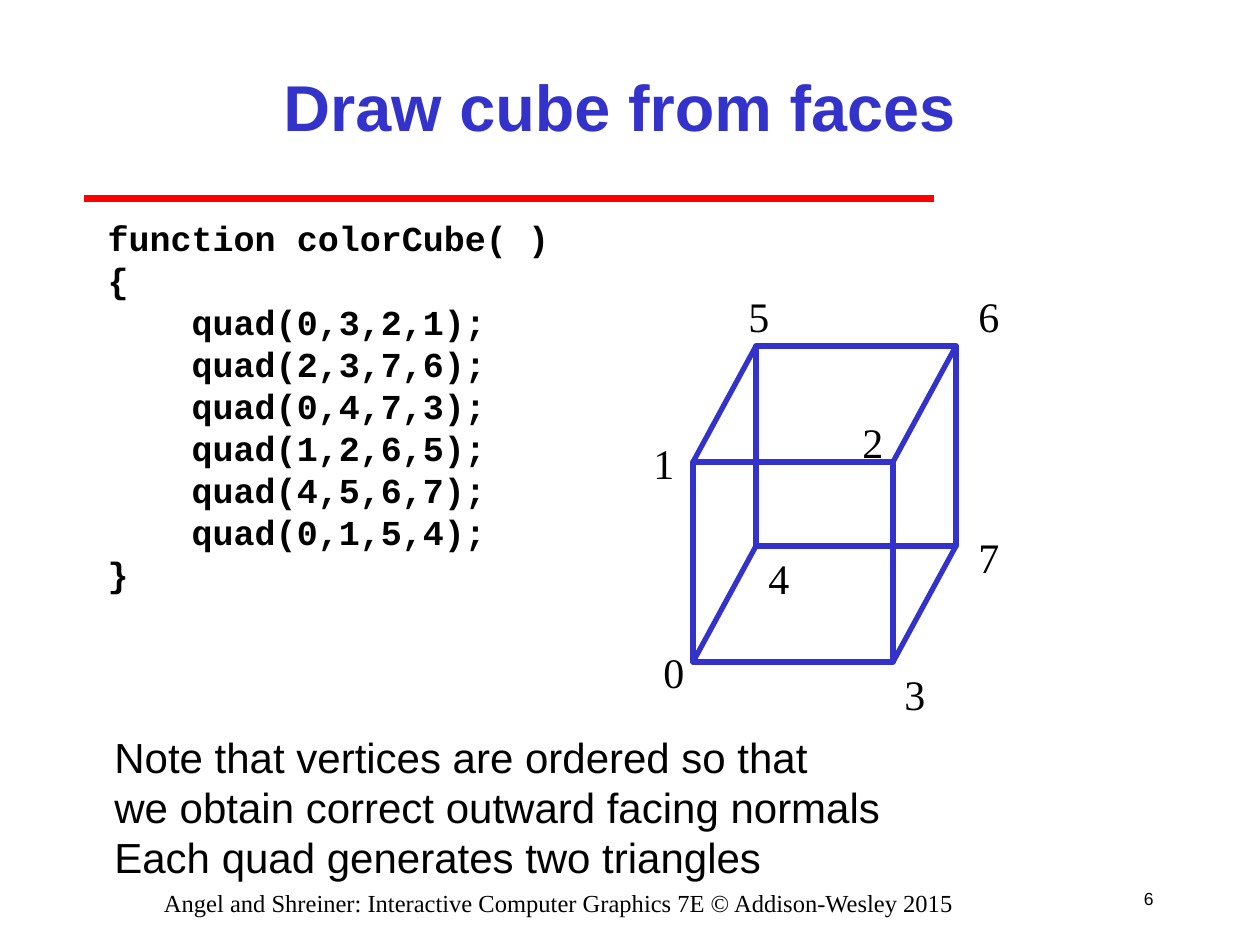
from lxml.etree import SubElement
from pptx import Presentation
from pptx.dml.color import RGBColor
from pptx.enum.shapes import MSO_CONNECTOR as Connector, MSO_SHAPE as Shape
from pptx.enum.text import MSO_ANCHOR as Anchor, MSO_AUTO_SIZE as AutoSize, PP_ALIGN as Align
from pptx.oxml.ns import qn
from pptx.util import Emu, Pt

BLUE = RGBColor(0x33, 0x33, 0xCC)
RED = RGBColor(0xFF, 0x00, 0x00)
BLACK = RGBColor(0x00, 0x00, 0x00)

PX_PER_INCH = 126
LINE_HEIGHT = 1.2

CODE = [
    "function colorCube( )",
    "{",
    "    quad(0,3,2,1);",
    "    quad(2,3,7,6);",
    "    quad(0,4,7,3);",
    "    quad(1,2,6,5);",
    "    quad(4,5,6,7);",
    "    quad(0,1,5,4);",
    "}",
]
NOTES = [
    "Note that vertices are ordered so that",
    "we obtain correct outward facing normals",
    "Each quad generates two triangles",
]
# Label corners, measured from the top left of the cube
VERTEX_LABELS = {
    "0": (-42, 294), "5": (43, -62), "6": (273, -62), "2": (157, 64),
    "4": (63, 200), "7": (273, 179), "1": (-52, 85), "3": (199, 316),
}


def px(value):
    return Emu(round(value * 914400 / PX_PER_INCH))


def place(shape, box):
    shape.left, shape.top, shape.width, shape.height = map(px, box)


def write(shape, lines, font_name, size, color=BLACK, bold=False,
          align=Align.LEFT, anchor=Anchor.TOP, wrap=True):
    frame = shape.text_frame
    frame.auto_size = AutoSize.NONE
    frame.word_wrap = wrap
    frame.vertical_anchor = anchor
    for index, line in enumerate(lines):
        paragraph = frame.paragraphs[0] if index == 0 else frame.add_paragraph()
        paragraph.text = line
        properties = paragraph._p.get_or_add_pPr()
        properties.set("marL", "0")
        properties.set("indent", "0")
        SubElement(properties, qn("a:buNone"))
        paragraph.alignment = align
        paragraph.space_before = Pt(0)
        paragraph.line_spacing = Pt(size * LINE_HEIGHT)
        font = paragraph.font
        font.name, font.size, font.bold = font_name, Pt(size), bold
        font.color.rgb = color


def add_text(slide, box, lines, font_name, size, **style):
    shape = slide.shapes.add_textbox(*map(px, box))
    write(shape, lines, font_name, size, **style)


def add_line(shapes, start, end, color, width):
    line = shapes.add_connector(Connector.STRAIGHT, *map(px, start + end))
    line.line.color.rgb = color
    line.line.width = Pt(width)
    SubElement(line._element.spPr, qn("a:effectLst"))


def add_heading(slide, box):
    left, top, width, height = box
    title = slide.shapes.title
    place(title, (left + 105, top, 861, 147))
    write(title, ["Draw cube from faces"], "Arial", 37, color=BLUE, bold=True,
          align=Align.CENTER, anchor=Anchor.MIDDLE)
    rule = top + height
    add_line(slide.shapes, (left, rule), (left + 850, rule), RED, 4)


def add_code(slide, box):
    body = slide.placeholders[1]
    place(body, box)
    write(body, CODE, "Courier New", 20, bold=True)


def add_cube(slide, box):
    left, top, width, height = box
    side, shift_x = 200, width - 200
    shift_y = height - side
    group = slide.shapes.add_group_shape()

    # Front and back faces
    for x, y in ((left, top + shift_y), (left + shift_x, top)):
        face = group.shapes.add_shape(Shape.RECTANGLE, *map(px, (x, y, side, side)))
        face.shadow.inherit = False
        face.fill.background()
        face.line.color.rgb = BLUE
        face.line.width = Pt(3)

    # Edges from back corners to front corners
    for x in (left + shift_x, left + width):
        for y in (top, top + side):
            add_line(group.shapes, (x, y), (x - shift_x, y + shift_y), BLUE, 3)

    # Vertex numbers
    for number, (x, y) in VERTEX_LABELS.items():
        add_text(slide, (left + x, top + y, 46, 63), [number],
                 "Times New Roman", 24, wrap=False)


def add_footer(slide, box):
    left, top, width, height = box
    add_text(slide, (left, top + 10, 998, 42),
             ["Angel and Shreiner: Interactive Computer Graphics 7E © Addison-Wesley 2015 "],
             "Times New Roman", 14, align=Align.CENTER)
    add_text(slide, (left + width - 53, top, 53, height), ["6"], "Arial", 10,
             align=Align.RIGHT, anchor=Anchor.MIDDLE, wrap=False)


def main():
    presentation = Presentation()
    presentation.slide_width = px(1260)
    presentation.slide_height = px(945)
    slide = presentation.slides.add_slide(presentation.slide_layouts[1])

    add_heading(slide, (84, 32, 1071, 167))
    add_code(slide, (95, 210, 1071, 651))
    add_cube(slide, (693, 346, 263, 316))
    add_text(slide, (102, 725, 790, 164), NOTES, "Arial", 24, wrap=False)
    add_footer(slide, (63, 872, 1103, 53))
    presentation.save("out.pptx")


if __name__ == "__main__":
    main()
